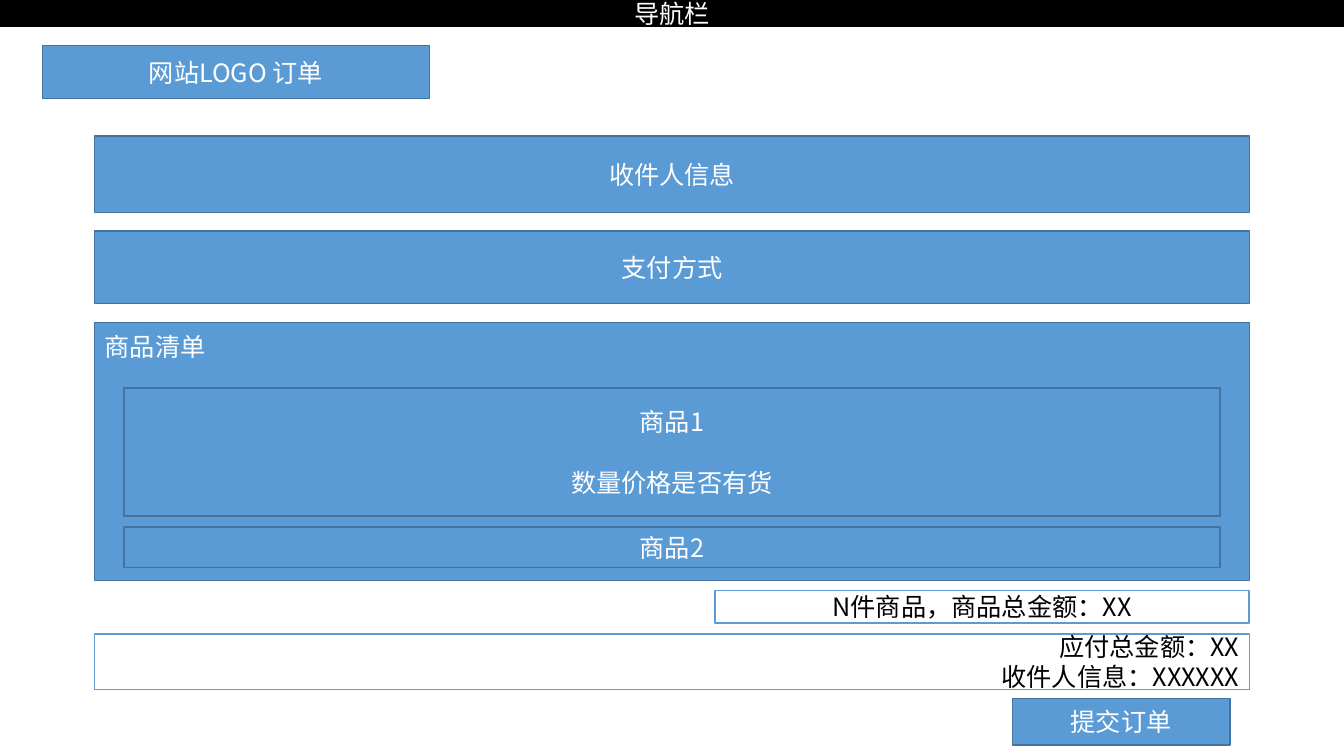
from dataclasses import dataclass

from lxml.etree import SubElement
from pptx import Presentation
from pptx.dml.color import RGBColor as Rgb
from pptx.enum.shapes import MSO_SHAPE as Kind
from pptx.enum.text import MSO_ANCHOR as Anchor, PP_ALIGN as Align
from pptx.oxml.ns import qn
from pptx.slide import Slide
from pptx.util import Inches, Pt


@dataclass(frozen=True)
class Look:
    fill: str
    line: str
    ink: str


@dataclass(frozen=True)
class Theme:
    bar: Look = Look("000000", "000000", "FFFFFF")
    blue: Look = Look("5B9BD5", "43739E", "FFFFFF")
    plain: Look = Look("FFFFFF", "5B9BD5", "000000")
    font: str = "Noto Sans CJK SC"
    size: float = 18
    pitch: float = 21.5
    edge: float = 1


@dataclass(frozen=True)
class Box:
    text: str
    left: float
    top: float
    width: float
    height: float
    look: Look
    align: Align = Align.CENTER
    anchor: Anchor = Anchor.MIDDLE
    inset: float = 0.05  # space above the text
    gap: float = 0  # points between paragraphs


THEME = Theme()
WIDE, HIGH = 13.33, 7.5
LEFT, SPAN = 0.94, 11.45  # main column
INNER, ROW = 1.23, 10.87  # product rows

BOXES = [
    # Header
    Box("导航栏", 0, 0, WIDE, 0.26, THEME.bar),
    Box("网站LOGO 订单", 0.42, 0.45, 3.84, 0.53, THEME.blue),
    # Order details
    Box("收件人信息", LEFT, 1.35, SPAN, 0.76, THEME.blue),
    Box("支付方式", LEFT, 2.29, SPAN, 0.72, THEME.blue),
    # Product list
    Box("商品清单", LEFT, 3.2, SPAN, 2.56, THEME.blue,
        Align.LEFT, Anchor.TOP, inset=0.09),
    Box("商品1\n数量价格是否有货", INNER, 3.85, ROW, 1.27, THEME.blue,
        gap=THEME.pitch),
    Box("商品2", INNER, 5.23, ROW, 0.4, THEME.blue),
    # Totals and submit button
    Box("N件商品，商品总金额：XX", 7.09, 5.86, 5.3, 0.32, THEME.plain),
    Box("应付总金额：XX\n收件人信息：XXXXXX", LEFT, 6.29, SPAN, 0.55,
        THEME.plain, Align.RIGHT),
    Box("提交订单", 10.04, 6.93, 2.16, 0.46, THEME.blue),
]


def draw(slide: Slide, box: Box) -> None:
    shape = slide.shapes.add_shape(
        Kind.RECTANGLE, Inches(box.left), Inches(box.top),
        Inches(box.width), Inches(box.height))
    shape.shadow.inherit = False
    shape.fill.solid()
    shape.fill.fore_color.rgb = Rgb.from_string(box.look.fill)
    shape.line.color.rgb = Rgb.from_string(box.look.line)
    shape.line.width = Pt(THEME.edge)

    frame = shape.text_frame
    frame.text = box.text
    frame.word_wrap = True
    frame.vertical_anchor = box.anchor
    frame.margin_top = Inches(box.inset)
    paras = frame.paragraphs
    for spot, para in enumerate(paras):
        para.alignment = box.align
        if len(paras) > 1:
            para.line_spacing = Pt(THEME.pitch)
        if spot and box.gap:
            para.space_before = Pt(box.gap)
        for run in para.runs:
            run.font.size = Pt(THEME.size)
            run.font.color.rgb = Rgb.from_string(box.look.ink)
            run.font.name = THEME.font
            # East Asian typeface
            props = run.font._element
            SubElement(props, qn("a:ea")).set("typeface", THEME.font)


def main() -> None:
    deck = Presentation()
    deck.slide_width, deck.slide_height = Inches(WIDE), Inches(HIGH)
    slide = deck.slides.add_slide(deck.slide_layouts[6])
    for box in BOXES:
        draw(slide, box)
    deck.save("out.pptx")


if __name__ == "__main__":
    main()
